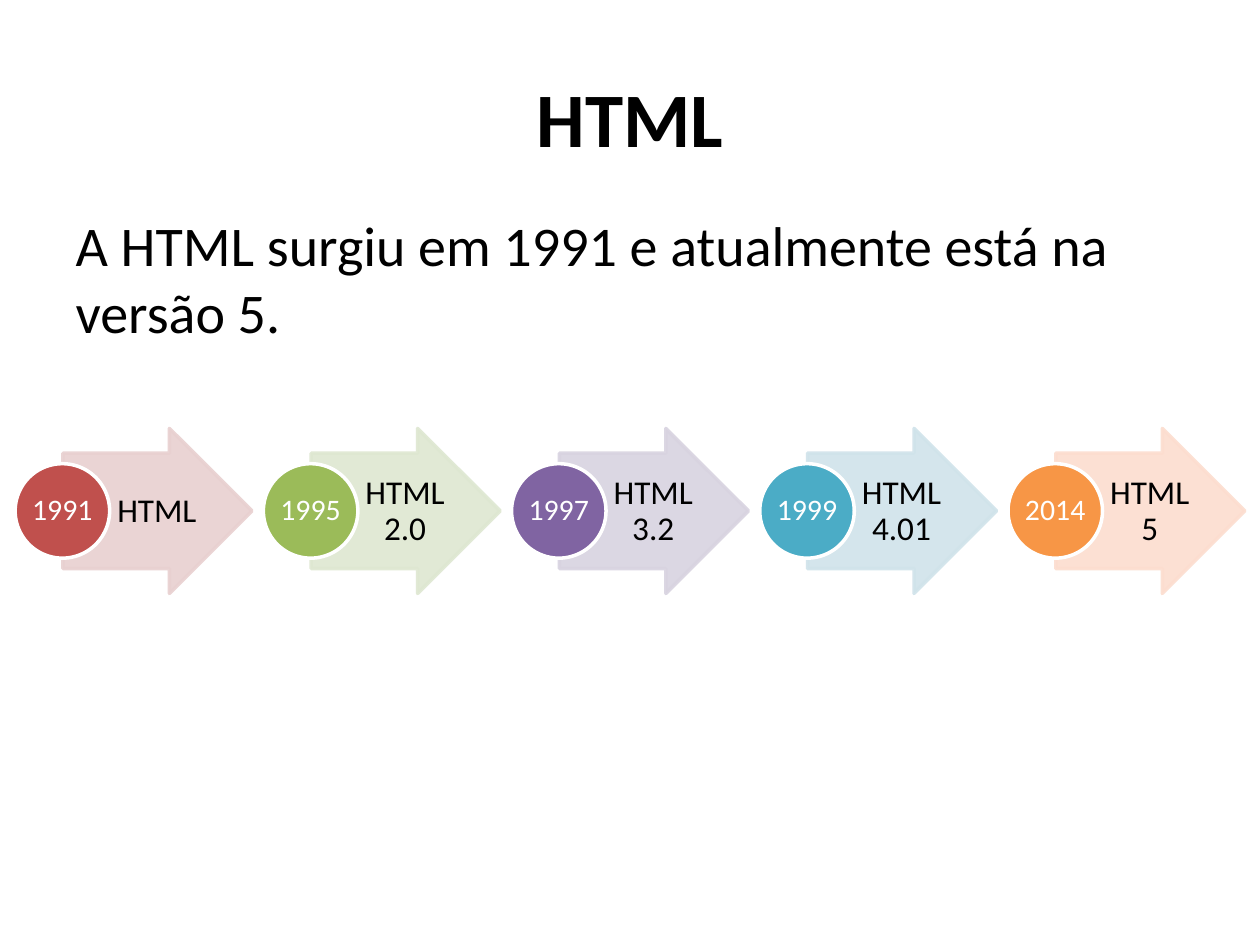
from pptx import Presentation
from pptx.dml.color import RGBColor
from pptx.enum.shapes import MSO_SHAPE as Shape
from pptx.enum.text import MSO_ANCHOR as Anchor, PP_ALIGN as Align
from pptx.oxml.ns import qn
from pptx.util import Pt
from lxml.etree import SubElement

PX = 9144
FONT = "Calibri"
BLACK = RGBColor(0x00, 0x00, 0x00)
WHITE = RGBColor(0xFF, 0xFF, 0xFF)
RED, PALE_RED = RGBColor(0xC0, 0x50, 0x4D), RGBColor(0xE8, 0xD0, 0xD0)
GREEN, PALE_GREEN = RGBColor(0x9B, 0xBB, 0x59), RGBColor(0xDE, 0xE7, 0xD1)
PURPLE, PALE_PURPLE = RGBColor(0x80, 0x64, 0xA2), RGBColor(0xD8, 0xD3, 0xE0)
BLUE, PALE_BLUE = RGBColor(0x4B, 0xAC, 0xC6), RGBColor(0xD0, 0xE3, 0xEA)
ORANGE, PALE_ORANGE = RGBColor(0xF7, 0x96, 0x46), RGBColor(0xFC, 0xDD, 0xCF)

VERSIONS = [
    ("1991", "HTML", RED, PALE_RED),
    ("1995", "HTML 2.0", GREEN, PALE_GREEN),
    ("1997", "HTML 3.2", PURPLE, PALE_PURPLE),
    ("1999", "HTML 4.01", BLUE, PALE_BLUE),
    ("2014", "HTML 5", ORANGE, PALE_ORANGE),
]
STEP_PITCH = 197


def emu(*lengths):
    """Convert px lengths to EMU."""
    return [length * PX for length in lengths]


def write(paragraph, text, size, color, align, bold=False):
    """Add one formatted run to a paragraph."""
    paragraph.alignment = align
    run = paragraph.add_run()
    run.text = text
    font = run.font
    font.name, font.size, font.bold = FONT, Pt(size), bold
    font.color.rgb = color


def place(placeholder, box):
    """Move a placeholder to a box and return its first paragraph."""
    placeholder.left, placeholder.top, placeholder.width, placeholder.height = emu(*box)
    return placeholder.text_frame.paragraphs[0]


def add_title(slide, box):
    """Fill the title placeholder."""
    heading = place(slide.shapes.title, box)
    slide.shapes.title.text_frame.vertical_anchor = Anchor.MIDDLE
    write(heading, "HTML", 44, BLACK, Align.CENTER, bold=True)


def add_body(slide, box):
    """Fill the body placeholder with one unbulleted paragraph."""
    summary = place(slide.placeholders[1], box)
    summary.space_after = Pt(12)
    write(summary, "A HTML surgiu em 1991 e atualmente está na versão 5.",
          32, BLACK, Align.LEFT)
    properties = summary._p.get_or_add_pPr()
    properties.set("marL", "0")
    properties.set("indent", "0")
    SubElement(properties, qn("a:buNone"))


def add_figure(group, preset, box, fill, outline):
    """Add a filled, outlined preset shape."""
    figure = group.shapes.add_shape(preset, *emu(*box))
    figure.shadow.inherit = False
    figure.fill.solid()
    figure.fill.fore_color.rgb = fill
    figure.line.color.rgb = outline
    figure.line.width = Pt(2)
    return figure


def add_label(group, box, text, size, color, side_insets):
    """Add a wrapped, centred text box."""
    frame = group.shapes.add_textbox(*emu(*box)).text_frame
    frame.word_wrap = True
    frame.vertical_anchor = Anchor.MIDDLE
    frame.margin_left, frame.margin_right = emu(*side_insets)
    frame.margin_top, frame.margin_bottom = emu(1, 1)
    frame.paragraphs[0].line_spacing = 0.9
    write(frame.paragraphs[0], text, size, color, Align.CENTER)


def add_step(group, left, top, year, version, strong, pale):
    """Draw one version arrow with its year circle."""
    arrow = add_figure(group, Shape.RIGHT_ARROW, (left + 38, top, 150, 131), pale, pale)
    arrow.adjustments[0], arrow.adjustments[1] = 0.7, 0.5
    for color in arrow._element.spPr.iter(qn("a:srgbClr")):
        SubElement(color, qn("a:alpha"), val="90000")
    add_label(group, (left + 75, top + 20, 73, 92), version, 19, BLACK, (5, 3))
    add_figure(group, Shape.OVAL, (left, top + 28, 75, 75), strong, WHITE)
    add_label(group, (left + 11, top + 39, 53, 53), year, 17, WHITE, (1, 1))


def add_timeline(slide, left, top):
    """Lay the version steps out in a row at an equal pitch."""
    timeline = slide.shapes.add_group_shape()
    for index, version in enumerate(VERSIONS):
        add_step(timeline, left + index * STEP_PITCH, top, *version)


def main():
    """Build and save the slide."""
    deck = Presentation()
    deck.slide_width, deck.slide_height = emu(1000, 750)
    slide = deck.slides.add_slide(deck.slide_layouts[1])
    add_title(slide, (50, 30, 900, 125))
    add_body(slide, (50, 162, 900, 449))
    add_timeline(slide, 12, 340)
    deck.save("out.pptx")


if __name__ == "__main__":
    main()
